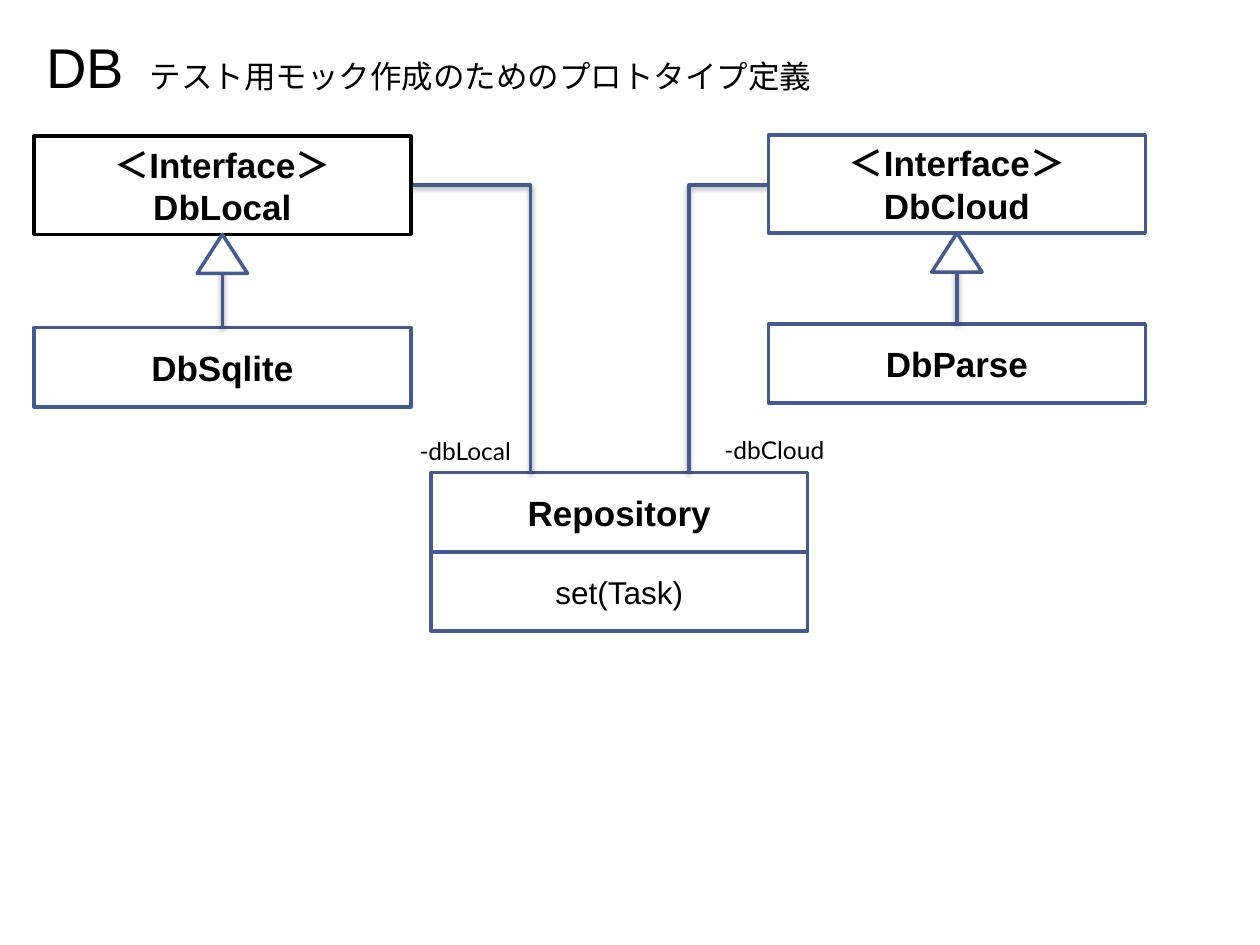
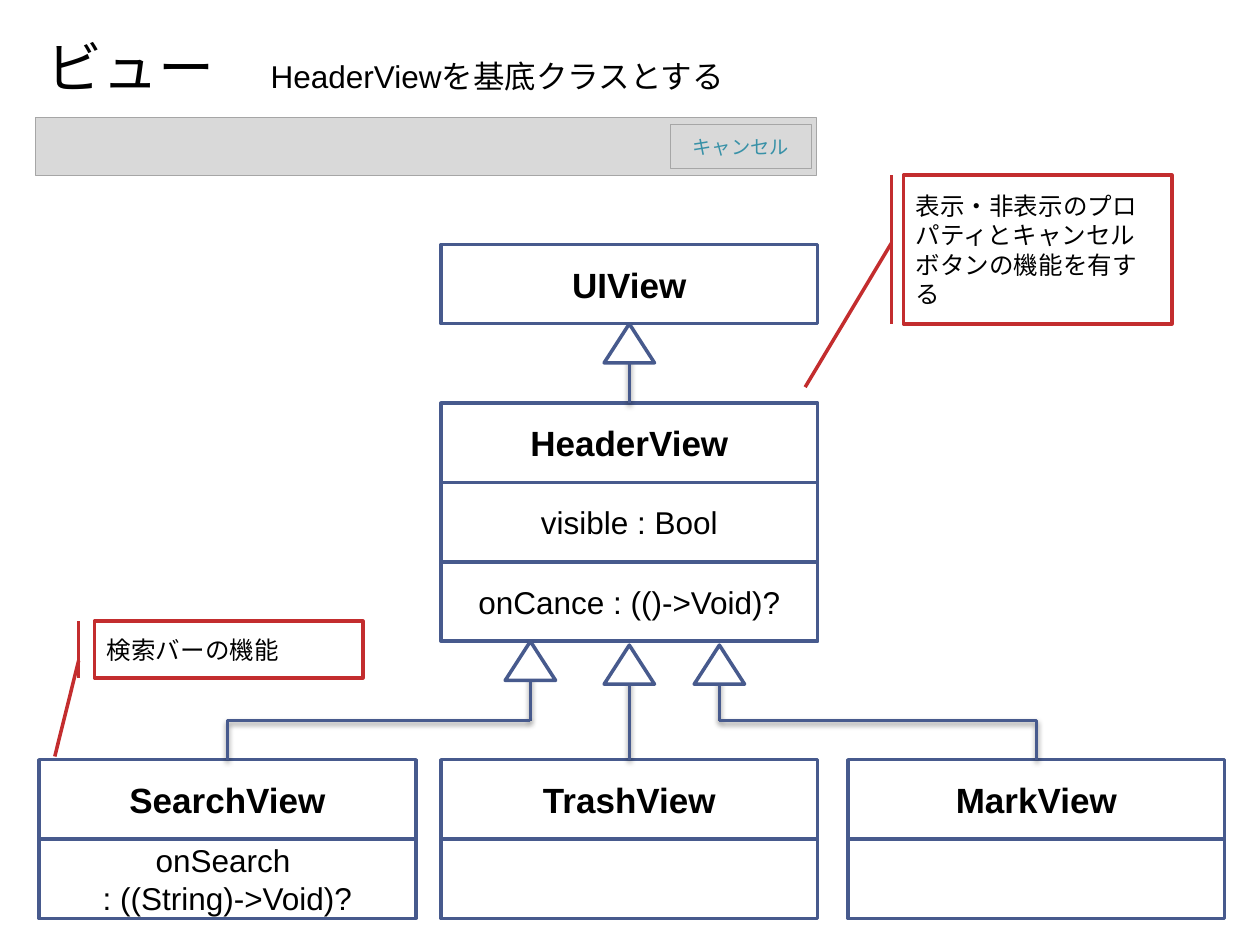
from lxml import etree
from pptx import Presentation
from pptx import util as u
from pptx.dml.color import RGBColor
from pptx.enum import shapes, text
from pptx.oxml import ns

BLACK, WHITE = "000000", "FFFFFF"
NAVY, RED, TEAL = "475A8D", "C32D2E", "3891A7"
BAR_GRAY, EDGE_GRAY = "D9D9D9", "A6A6A6"
HEADING_FONT, LABEL_FONT = "Arial", "Lato"
CLASS_WIDTH, ROW_HEIGHT, INTERFACE_HEIGHT = 2.99, 0.63, 0.78
HEAD_WIDTH, HEAD_HEIGHT = 0.4, 0.31
SHAPE = shapes.MSO_SHAPE
CENTER = text.PP_ALIGN.CENTER


def color(value):
    return RGBColor.from_string(value)


def add_child(parent, tag, **attributes):
    child = etree.SubElement(parent, ns.qn(tag))
    for name, value in attributes.items():
        child.set(name, str(value))
    return child


def add_run(paragraph, content, size=18, font=HEADING_FONT, ink=BLACK, bold=False):
    run = paragraph.add_run()
    run.text = content
    run.font.size = u.Pt(size)
    run.font.name = font
    run.font.bold = bold
    run.font.color.rgb = color(ink)


def write(frame, content, align=None, **style):
    frame.word_wrap = True
    for index, line in enumerate(content.split("\n")):
        paragraph = frame.add_paragraph() if index else frame.paragraphs[0]
        paragraph.alignment = align
        add_run(paragraph, line, **style)


def add_text_box(slide, left, top, width, height):
    return slide.shapes.add_textbox(
        u.Inches(left), u.Inches(top), u.Inches(width), u.Inches(height)).text_frame


def add_title(slide, heading, tagline, tab=None):
    frame = add_text_box(slide, 0.27, 0.21, 9.4, 0.64)
    frame.word_wrap = True
    paragraph = frame.paragraphs[0]
    if tab:
        stops = add_child(paragraph._p.get_or_add_pPr(), "a:tabLst")
        add_child(stops, "a:tab", pos=u.Inches(tab), algn="l")
        tagline = "\t" + tagline
    add_run(paragraph, heading, size=32)
    add_run(paragraph, tagline)


def add_label(slide, left, top, content):
    write(add_text_box(slide, left, top, 1.5, 0.34), content, size=14, font=LABEL_FONT)


def add_box(slide, left, top, width, height, kind=SHAPE.RECTANGLE,
            fill=WHITE, edge=NAVY, weight=2):
    shape = slide.shapes.add_shape(
        kind, u.Inches(left), u.Inches(top), u.Inches(width), u.Inches(height))
    shape.shadow.inherit = False
    if fill:
        shape.fill.solid()
        shape.fill.fore_color.rgb = color(fill)
    else:
        shape.fill.background()
    shape.line.color.rgb = color(edge)
    shape.line.width = u.Pt(weight)
    shape.text_frame.vertical_anchor = text.MSO_ANCHOR.MIDDLE
    return shape


def add_class(slide, left, top, name, members=(), height=ROW_HEIGHT, edge=NAVY):
    header = add_box(slide, left, top, CLASS_WIDTH, height, edge=edge)
    write(header.text_frame, name, CENTER, size=20, bold=True)
    for index, member in enumerate(members):
        row = add_box(slide, left, top + height + index * ROW_HEIGHT,
                      CLASS_WIDTH, ROW_HEIGHT, edge=edge)
        if member:
            write(row.text_frame, member, CENTER)


def add_link(slide, start, end, bent=False):
    kind = shapes.MSO_CONNECTOR.ELBOW if bent else shapes.MSO_CONNECTOR.STRAIGHT
    link = slide.shapes.add_connector(kind, *(u.Inches(n) for n in (*start, *end)))
    link.line.color.rgb = color(NAVY)
    link.line.width = u.Pt(2)
    properties = link._element.spPr
    if bent:
        properties.find(ns.qn("a:prstGeom")).set("prst", "bentConnector2")
    effects = add_child(properties, "a:effectLst")
    shadow = add_child(effects, "a:outerShdw", blurRad=u.Pt(3.1), dist=u.Pt(1.6),
                       dir=5400000, rotWithShape=0)
    add_child(add_child(shadow, "a:srgbClr", val=BLACK), "a:alpha", val=38000)


def add_inheritance(slide, center, top, bottom):
    add_link(slide, (center, top), (center, bottom))
    add_box(slide, center - HEAD_WIDTH / 2, top, HEAD_WIDTH, HEAD_HEIGHT,
            SHAPE.ISOSCELES_TRIANGLE)


def add_callout(slide, left, top, height, content, pointer):
    callout = add_box(slide, left, top, 2.13, height,
                      SHAPE.LINE_CALLOUT_1_BORDER_AND_ACCENT_BAR, edge=RED)
    for index, value in enumerate(pointer):
        callout.adjustments[index] = value
    write(callout.text_frame, content, text.PP_ALIGN.LEFT, size=14)


def add_cancel_bar(slide, left, top):
    add_box(slide, left, top, 6.2, 0.46, fill=BAR_GRAY, edge=EDGE_GRAY, weight=0.5)
    button = add_box(slide, left + 5.04, top + 0.06, 1.12, 0.35,
                     fill=None, edge=EDGE_GRAY, weight=0.5)
    write(button.text_frame, "キャンセル", CENTER, size=11, font=LABEL_FONT, ink=TEAL)


def add_store(slide, left, top, interface, implementation, child_top, edge=NAVY):
    add_class(slide, left, top, f"＜Interface＞\n{interface}",
              height=INTERFACE_HEIGHT, edge=edge)
    add_class(slide, left, child_top, implementation)
    add_inheritance(slide, left + CLASS_WIDTH / 2, top + INTERFACE_HEIGHT, child_top)


def build_database_slide(slide):
    local_left, cloud_left, repository_top = 0.27, 6.1, 3.75
    add_title(slide, "DB", "テスト用モック作成のためのプロトタイプ定義", tab=0.82)
    add_class(slide, 3.42, repository_top, "Repository", ["set(Task)"])
    add_link(slide, (local_left + CLASS_WIDTH, 1.47), (4.21, repository_top), bent=True)
    add_link(slide, (cloud_left, 1.47), (5.47, repository_top), bent=True)
    add_label(slide, 3.23, 3.41, "-dbLocal")
    add_label(slide, 5.65, 3.4, "-dbCloud")
    add_store(slide, local_left, 1.08, "DbLocal", "DbSqlite", 2.6, edge=BLACK)
    add_store(slide, cloud_left, 1.07, "DbCloud", "DbParse", 2.57)


def build_view_slide(slide):
    base_left, base_top, header_top = 3.5, 1.94, 3.2
    child_top, bend = 6.03, 5.72
    center = base_left + CLASS_WIDTH / 2
    add_title(slide, "ビュー　", "HeaderViewを基底クラスとする")
    add_cancel_bar(slide, 0.28, 0.93)
    add_class(slide, base_left, base_top, "UIView")
    add_class(slide, base_left, header_top, "HeaderView",
              ["visible : Bool", "onCance : (()->Void)?"])
    children = [
        (0.31, "SearchView", "onSearch \n: ((String)->Void)?"),
        (base_left, "TrashView", ""),
        (6.73, "MarkView", ""),
    ]
    for left, name, member in children:
        add_class(slide, left, child_top, name, [member])
    add_callout(slide, 7.17, 1.39, 1.18,
                "表示・非表示のプロパティとキャンセルボタンの機能を有する",
                (0.458, -0.045, 1.426, -0.366))
    add_callout(slide, 0.75, 4.93, 0.45, "検索バーの機能",
                (0.696, -0.059, 2.387, -0.148))
    add_inheritance(slide, center, base_top + ROW_HEIGHT, header_top)
    add_inheritance(slide, center, 5.12, child_top)
    for head, head_top, child_left in ((4.21, 5.09, 0.31), (5.71, 5.12, 6.73)):
        add_inheritance(slide, head, head_top, bend)
        add_link(slide, (head, bend), (child_left + CLASS_WIDTH / 2, child_top), bent=True)


def main():
    presentation = Presentation()
    presentation.slide_width, presentation.slide_height = u.Inches(10), u.Inches(7.5)
    for build in (build_database_slide, build_view_slide):
        build(presentation.slides.add_slide(presentation.slide_layouts[6]))
    presentation.save("out.pptx")


if __name__ == "__main__":
    main()
